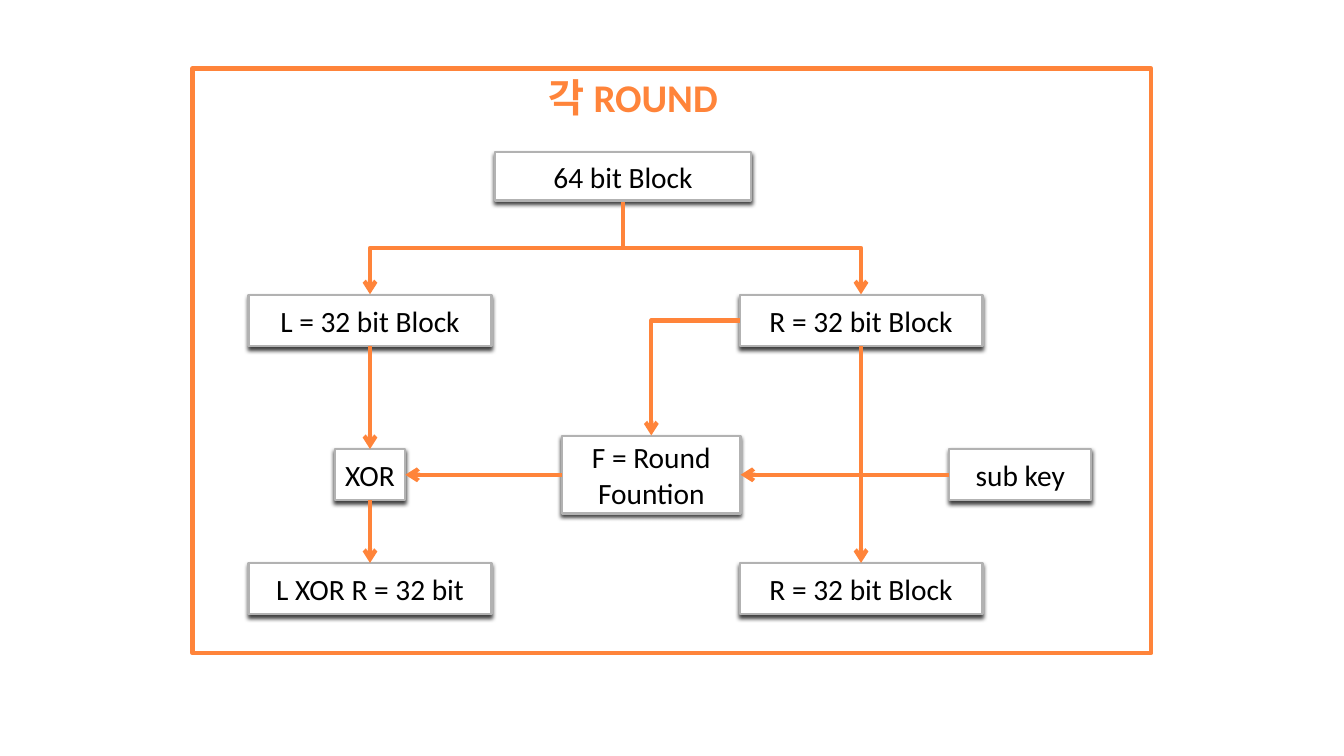
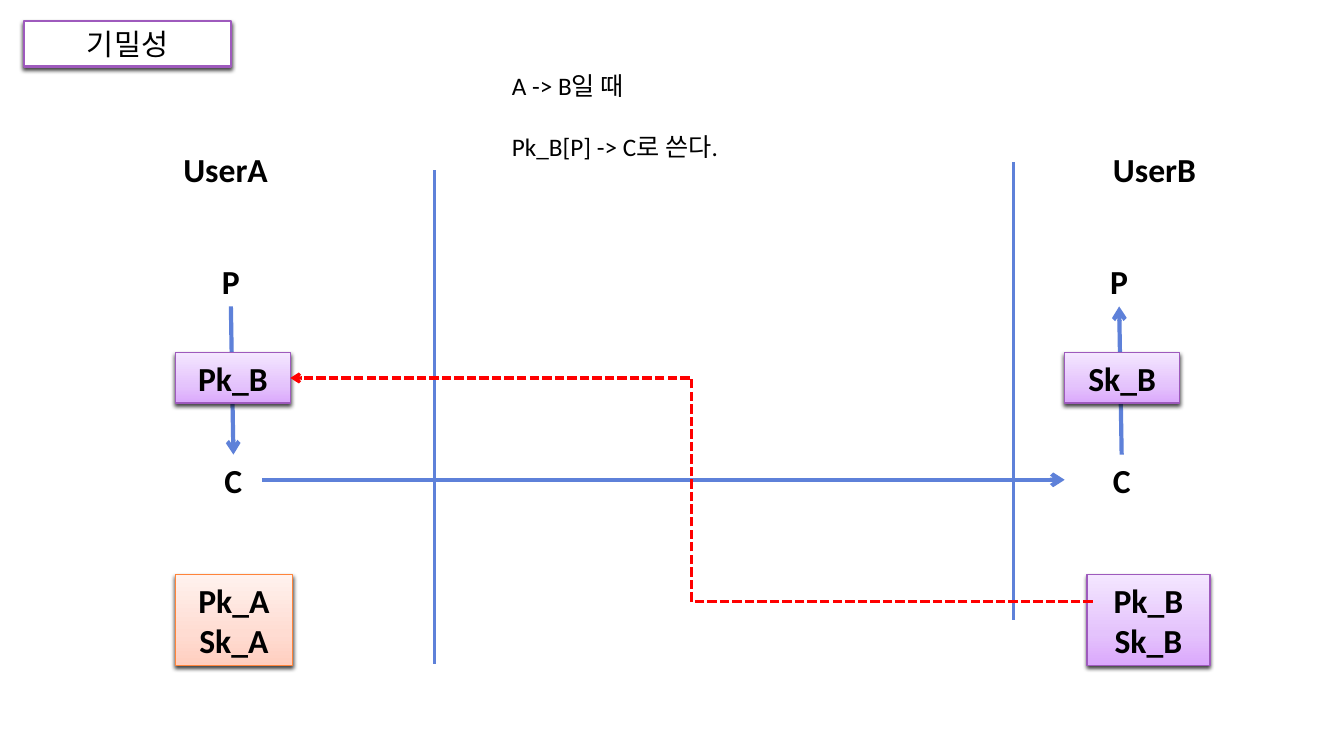
import pptx
import pptx.dml.color
import pptx.enum.dml
import pptx.enum.shapes
import pptx.enum.text
import pptx.oxml
import pptx.oxml.ns
import pptx.util
from lxml import etree

W, H = 13.33, 7.5
FONT = "Calibri"
BLACK, WHITE, GREY = "000000", "FFFFFF", "B2B2B2"
ORANGE, BLUE, PURPLE, RED = "FF843A", "5E81D9", "9E5ABD", "FF0000"
PEACH = ("FFCEBF", "FFDCD2", "FFF2EE")
LILAC = ("DBA8FC", "E4C3FC", "F4E6FF")
STOPS = (0, 35, 100)
TOP, LEFT, BOTTOM, RIGHT = range(4)

COL_L, COL_F, COL_R, COL_KEY = 3.67, 6.46, 8.54, 10.12
ROW_HALF, ROW_XOR, ROW_OUT = 3.18, 4.71, 5.84
SPLIT = 2.46
HALF = (2.41, 0.51)
ROUND_BOXES = {
    "block": ("64 bit Block", 6.18, 1.75, 2.54, 0.48),
    "left": ("L = 32 bit Block", COL_L, ROW_HALF, *HALF),
    "right": ("R = 32 bit Block", COL_R, ROW_HALF, *HALF),
    "key": ("sub key", COL_KEY, ROW_XOR, 1.41, 0.51),
    "xor": ("XOR", COL_L, ROW_XOR, 0.7, 0.51),
    "round": ("F = Round\nFountion", COL_F, ROW_XOR, 1.77, 0.77),
    "right_out": ("R = 32 bit Block", COL_R, ROW_OUT, *HALF),
    "left_out": ("L XOR R = 32 bit", COL_L, ROW_OUT, *HALF),
}
ROUND_ARROWS = [
    ("left", BOTTOM, "xor", TOP),
    ("round", LEFT, "xor", RIGHT),
    ("xor", BOTTOM, "left_out", TOP),
    ("right", BOTTOM, "right_out", TOP),
    ("key", LEFT, "round", RIGHT),
]

USER_LABELS = [("UserA", 1.72, 1.14), ("UserB", 10.94, 1.29)]
DIVIDERS = [(4.31, 1.69, 6.59), (10.05, 1.61, 6.15)]
SIDES = [(2, "Pk_B", 1.74, True), (10.81, "Sk_B", 10.56, False)]
KEY_PAIRS = [
    ("Pk_A\nSk_A", 1.74, 1.16, PEACH, ORANGE),
    ("Pk_B\nSk_B", 10.78, 1.22, LILAC, PURPLE),
]
RULES = "A -> B일 때\nPk_B[P] -> C로 쓴다."


def rgb(value):
    return pptx.dml.color.RGBColor.from_string(value)


def inches(*values):
    return [pptx.util.Inches(v) for v in values]


def add_xml(parent, xml):
    ns = pptx.oxml.ns.nsdecls("a")
    el = pptx.oxml.parse_xml(xml.replace(">", f" {ns}>", 1) if "/>" not in xml.split(">")[0] + ">"
                             else xml.replace("/>", f" {ns}/>", 1))
    parent.append(el)
    return el


def write(sp, text, size, bold=False, color=BLACK, centred=True, gap=0):
    tf = sp.text_frame
    tf.text = text
    tf.word_wrap = True
    tf.auto_size = pptx.enum.text.MSO_AUTO_SIZE.NONE
    tf.vertical_anchor = pptx.enum.text.MSO_ANCHOR.MIDDLE
    tf.margin_left = tf.margin_right = pptx.util.Inches(0.1 if sp.width > pptx.util.Inches(1) else 0.05)
    align = pptx.enum.text.PP_ALIGN
    for i, p in enumerate(tf.paragraphs):
        p.alignment = align.CENTER if centred else align.LEFT
        p.space_before = pptx.util.Pt(gap if i else 0)
        for r in p.runs:
            r.font.name = FONT
            r.font.size = pptx.util.Pt(size)
            r.font.bold = bold
            r.font.color.rgb = rgb(color)


def decorate(sp, fill, line, width):
    sp.fill.solid()
    sp.line.color.rgb = rgb(line)
    sp.line.width = pptx.util.Pt(width)
    props = sp._element.spPr
    if isinstance(fill, str):
        sp.fill.fore_color.rgb = rgb(fill)
    else:
        stops = "".join(f'<a:gs pos="{pos * 1000}"><a:srgbClr val="{c}"/></a:gs>'
                        for pos, c in zip(STOPS, fill))
        grad = add_xml(props, f'<a:gradFill rotWithShape="1"><a:gsLst>{stops}</a:gsLst>'
                              '<a:lin ang="16200000" scaled="0"/></a:gradFill>')
        props.replace(props.find(pptx.oxml.ns.qn("a:solidFill")), grad)
    add_xml(props, '<a:effectLst><a:outerShdw blurRad="38100" dist="25400" dir="5400000" '
                   'rotWithShape="0"><a:srgbClr val="000000"><a:alpha val="75000"/>'
                   '</a:srgbClr></a:outerShdw></a:effectLst>')


def add_rect(s, x, y, w, h):
    return s.shapes.add_shape(pptx.enum.shapes.MSO_SHAPE.RECTANGLE, *inches(x, y, w, h))


def add_box(s, text, x, y, w, h, fill=WHITE, line=GREY, width=1.5, size=21, bold=False):
    sp = add_rect(s, x, y, w, h)
    decorate(sp, fill, line, width)
    write(sp, text, size, bold)
    return sp


def add_label(s, text, x, y, w, h=0.5, size=24, bold=True, **style):
    sp = s.shapes.add_textbox(*inches(x, y, w, h))
    write(sp, text, size, bold, **style)
    return sp


def add_line(s, start=(0, 0), end=(0, 0), color=ORANGE, width=3, elbow=False,
             arrow=True, begin=None, finish=None):
    kinds = pptx.enum.shapes.MSO_CONNECTOR
    c = s.shapes.add_connector(kinds.ELBOW if elbow else kinds.STRAIGHT, *inches(*start, *end))
    if begin:
        c.begin_connect(*begin)
    if finish:
        c.end_connect(*finish)
    c.line.color.rgb = rgb(color)
    c.line.width = pptx.util.Pt(width)
    props = c._element.spPr
    if arrow:
        etree.SubElement(c.line._get_or_add_ln(), pptx.oxml.ns.qn("a:tailEnd"), type="arrow")
    etree.SubElement(props, pptx.oxml.ns.qn("a:effectLst"))
    return c


def add_corner(s, start, end):
    c = add_line(s, start, end, elbow=True)
    c._element.spPr.find(pptx.oxml.ns.qn("a:prstGeom")).set("prst", "bentConnector2")


def add_step_down(s, start, end):
    cx, cy = (start[0] + end[0]) / 2, (start[1] + end[1]) / 2
    dx, dy = (end[0] - start[0]) / 2, (end[1] - start[1]) / 2
    c = add_line(s, (cx - dy, cy + dx), (cx + dy, cy - dx), elbow=True)
    c._element.spPr.find(pptx.oxml.ns.qn("a:xfrm")).set("rot", "5400000")


def new_slide(prs, title, x, y, w, h, size, **style):
    s = prs.slides.add_slide(prs.slide_layouts[5])
    sp = s.shapes.title
    sp.left, sp.top, sp.width, sp.height = inches(x, y, w, h)
    write(sp, title, size, **style)
    return s


def build_round(prs):
    s = new_slide(prs, "각 ROUND", 4.93, 0.68, 2.7, 0.56, 28, bold=True, color=ORANGE)
    boxes = {name: add_box(s, text, cx - w / 2, cy - h / 2, w, h)
             for name, (text, cx, cy, w, h) in ROUND_BOXES.items()}
    frame = add_rect(s, 1.91, 0.68, 9.51, 5.8)
    frame.shadow.inherit = False
    frame.fill.background()
    frame.line.color.rgb = rgb(ORANGE)
    frame.line.width = pptx.util.Pt(3)
    add_step_down(s, (6.18, 2), (COL_R, 2.92))
    add_corner(s, (6.18, SPLIT), (COL_L, 2.92))
    add_corner(s, (7.34, ROW_HALF), (COL_F, 4.32))
    for source, side, target, target_side in ROUND_ARROWS:
        add_line(s, begin=(boxes[source], side), finish=(boxes[target], target_side))


def build_secrecy(prs):
    s = new_slide(prs, "기밀성", 0.24, 0.21, 2.05, 0.45, 21)
    decorate(s.shapes.title, WHITE, PURPLE, 1.5)
    for text, x, w, fill, line in KEY_PAIRS:
        add_box(s, text, x, 5.7, w, 0.9, fill, line, 1, 24, True)
    for x, top, bottom in DIVIDERS:
        add_line(s, (x, top), (x, bottom), BLUE, 2.25, arrow=False)
    for text, x, w in USER_LABELS:
        add_label(s, text, x, 1.43, w, centred=False)
    ciphers = []
    for x, key, key_x, downward in SIDES:
        plain = add_label(s, "P", x, 2.54, 0.58)
        cipher = add_label(s, "C", x + 0.03, 4.51, 0.57)
        ends = [(plain, BOTTOM), (cipher, TOP)]
        begin, finish = ends if downward else ends[::-1]
        add_line(s, color=BLUE, begin=begin, finish=finish)
        add_box(s, key, key_x, 3.5, 1.14, 0.5, LILAC, PURPLE, 1, 24, True)
        ciphers.append(cipher)
    add_line(s, end=(10.56, 4.76), color=BLUE, begin=(ciphers[0], RIGHT))
    c = add_line(s, (10.84, 5.97), (2.88, 3.75), RED, 2.25, elbow=True, arrow=False)
    c.line.dash_style = pptx.enum.dml.MSO_LINE.SQUARE_DOT
    etree.SubElement(c.line._get_or_add_ln(), pptx.oxml.ns.qn("a:tailEnd"), type="arrow")
    add_label(s, RULES, 4.98, 0.65, 3.63, 0.99, 18, False, centred=False, gap=22)


def main():
    prs = pptx.Presentation()
    prs.slide_width, prs.slide_height = inches(W, H)
    build_round(prs)
    build_secrecy(prs)
    prs.save("out.pptx")


if __name__ == "__main__":
    main()
